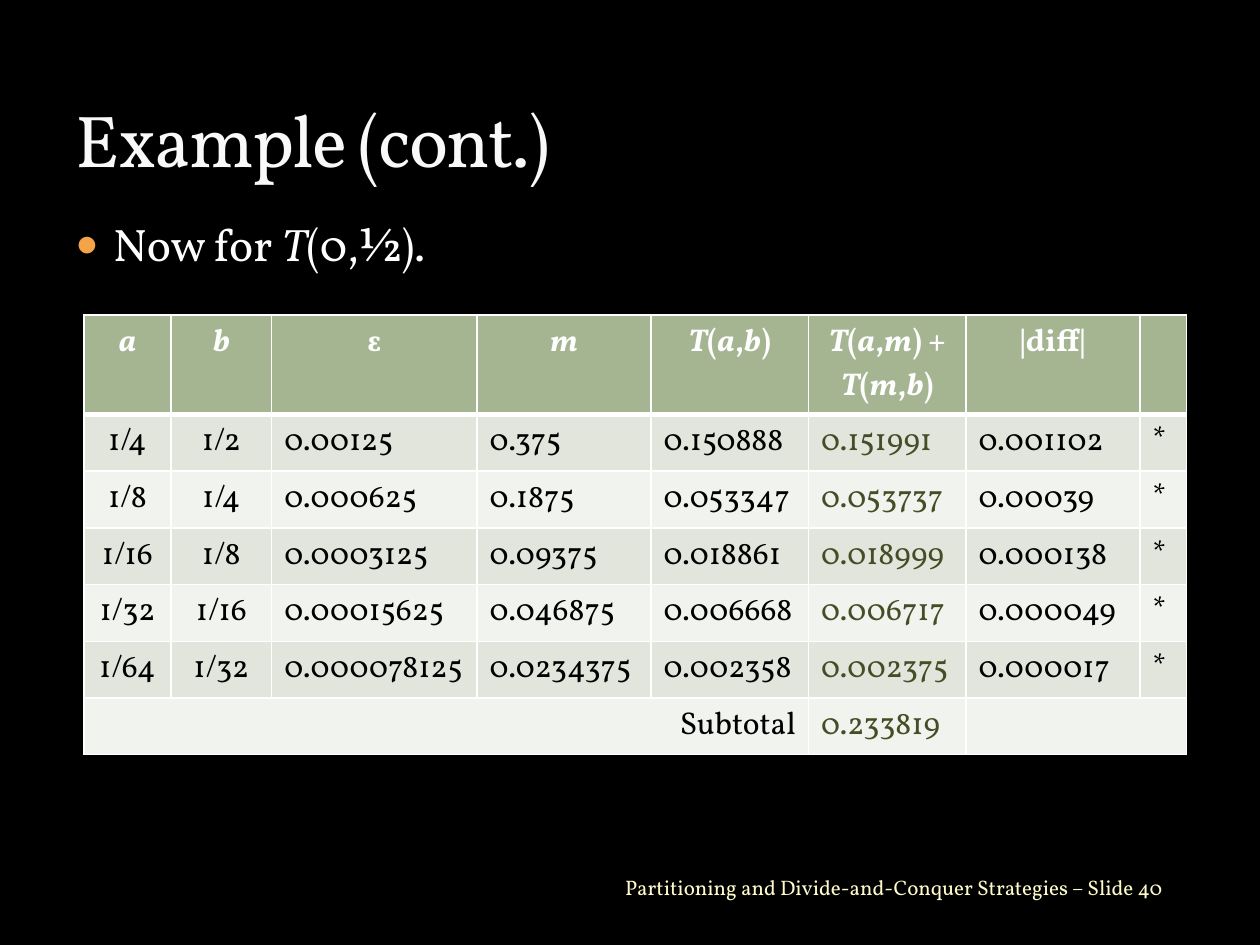
from lxml.etree import SubElement
from pptx import Presentation
from pptx.dml.color import RGBColor
from pptx.enum.text import MSO_ANCHOR, PP_ALIGN
from pptx.oxml.ns import qn
from pptx.util import Inches, Pt

BLACK = RGBColor(0x00, 0x00, 0x00)
WHITE = RGBColor(0xFF, 0xFF, 0xFF)
TITLE_WHITE = RGBColor(0xF9, 0xF9, 0xF9)
CREAM = RGBColor(0xFE, 0xFA, 0xC9)
ORANGE = RGBColor(0xF3, 0xA4, 0x47)
SAGE = RGBColor(0xA5, 0xB5, 0x92)
BAND_DARK = RGBColor(0xE1, 0xE5, 0xDC)
BAND_LIGHT = RGBColor(0xF0, 0xF3, 0xEE)
OLIVE = RGBColor(0x44, 0x4D, 0x26)

FONT = "Vollkorn"
BULLET_FONT = "Arial"
WIDTH, HEIGHT = Inches(10), Inches(7.5)
MARGIN = 0.05
COLUMNS = [0.69, 0.8, 1.63, 1.38, 1.25, 1.25, 1.38, 0.37]
HEADER_HEIGHT, ROW_HEIGHT = 0.79, 0.45
SUM_COLUMN = 5
HEADINGS = ["_a_", "_b_", "ε", "_m_", "_T_(_a_,_b_)",
            "_T_(_a_,_m_) + _T_(_m_,_b_)", "|diff|", ""]
VALUES = [
    ["1/4", "1/2", "0.00125", "0.375", "0.150888", "0.151991", "0.001102", "*"],
    ["1/8", "1/4", "0.000625", "0.1875", "0.053347", "0.053737", "0.00039", "*"],
    ["1/16", "1/8", "0.0003125", "0.09375", "0.018861", "0.018999", "0.000138", "*"],
    ["1/32", "1/16", "0.00015625", "0.046875", "0.006668", "0.006717", "0.000049", "*"],
    ["1/64", "1/32", "0.000078125", "0.0234375", "0.002358", "0.002375", "0.000017", "*"],
]
SUBTOTAL = ["Subtotal", "", "", "", "", "0.233819", "", ""]


def place(left, top, width, height):
    return (round(left * WIDTH), round(top * HEIGHT),
            round(width * WIDTH), round(height * HEIGHT))


def write(para, text, size, color, bold=False, align=PP_ALIGN.LEFT):
    para.alignment = align
    for index, part in enumerate(text.split("_")):
        if part:
            span = para.add_run()
            span.text = part
            font = span.font
            font.name, font.size, font.bold = FONT, Pt(size), bold
            font.italic = index % 2 == 1
            font.color.rgb = color


def add_title(page, text):
    title = page.shapes.title
    title.left, title.top, title.width, title.height = place(MARGIN, 0.022, 0.9, 0.178)
    title.text_frame.vertical_anchor = MSO_ANCHOR.BOTTOM
    para = title.text_frame.paragraphs[0]
    write(para, text, 42, TITLE_WHITE)
    para.runs[0].font._element.set("spc", "-100")


def add_text(page, area, text, size, color, align=PP_ALIGN.LEFT, anchor=MSO_ANCHOR.TOP):
    frame = page.shapes.add_textbox(*place(*area)).text_frame
    frame.word_wrap = True
    frame.vertical_anchor = anchor
    write(frame.paragraphs[0], text, size, color, align=align)
    return frame.paragraphs[0]


def add_bullet(para):
    para.space_before = Pt(6)
    properties = para._p.get_or_add_pPr()
    properties.set("marL", str(Inches(0.3)))
    properties.set("indent", str(-Inches(0.3)))
    color = SubElement(properties, qn("a:buClr"))
    SubElement(color, qn("a:srgbClr"), val=str(ORANGE))
    SubElement(properties, qn("a:buSzPct"), val="85000")
    SubElement(properties, qn("a:buFont"), typeface=BULLET_FONT)
    SubElement(properties, qn("a:buChar"), char="●")


def set_borders(cell, row):
    properties = cell._tc.get_or_add_tcPr()
    widths = {"L": 1, "R": 1, "T": 3 if row == 1 else 1, "B": 3 if row == 0 else 1}
    for side, width in widths.items():
        line = SubElement(properties, qn(f"a:ln{side}"), w=str(Pt(width)))
        fill = SubElement(line, qn("a:solidFill"))
        SubElement(fill, qn("a:srgbClr"), val=str(WHITE))


def fill_cell(cell, row, column, text, is_last):
    is_header = row == 0
    set_borders(cell, row)
    cell.fill.solid()
    cell.fill.fore_color.rgb = SAGE if is_header else BAND_DARK if row % 2 else BAND_LIGHT
    color = WHITE if is_header else OLIVE if column == SUM_COLUMN else BLACK
    if is_last and column == 0:
        align = PP_ALIGN.RIGHT
    elif is_header or column < 2:
        align = PP_ALIGN.CENTER
    else:
        align = PP_ALIGN.LEFT
    write(cell.text_frame.paragraphs[0], text, 18, color, is_header, align)


def add_value_table(page):
    rows = [HEADINGS, *VALUES, SUBTOTAL]
    last = len(rows) - 1
    heights = [HEADER_HEIGHT] + [ROW_HEIGHT] * last
    table = page.shapes.add_table(
        len(rows), len(COLUMNS), round(WIDTH / 15), round(HEIGHT / 3),
        Inches(sum(COLUMNS)), Inches(sum(heights))).table
    for column, width in zip(table.columns, COLUMNS):
        column.width = Inches(width)
    for row, texts in enumerate(rows):
        table.rows[row].height = Inches(heights[row])
        for column, text in enumerate(texts):
            fill_cell(table.cell(row, column), row, column, text, row == last)
    table.cell(last, 0).merge(table.cell(last, SUM_COLUMN - 1))
    table.cell(last, SUM_COLUMN + 1).merge(table.cell(last, len(COLUMNS) - 1))


def main():
    deck = Presentation()
    deck.slide_width, deck.slide_height = WIDTH, HEIGHT
    page = deck.slides.add_slide(deck.slide_layouts.get_by_name("Title Only"))
    page.background.fill.solid()
    page.background.fill.fore_color.rgb = BLACK
    add_title(page, "Example (cont.)")
    add_bullet(add_text(page, (MARGIN, 0.222, 0.9, 0.667), "Now for _T_(0,½).", 26, WHITE))
    add_value_table(page)
    add_text(page, (0.208, 0.911, 0.725, 0.056),
             "Partitioning and Divide-and-Conquer Strategies – Slide 40",
             12, CREAM, PP_ALIGN.RIGHT, MSO_ANCHOR.MIDDLE)
    deck.save("out.pptx")


main()
